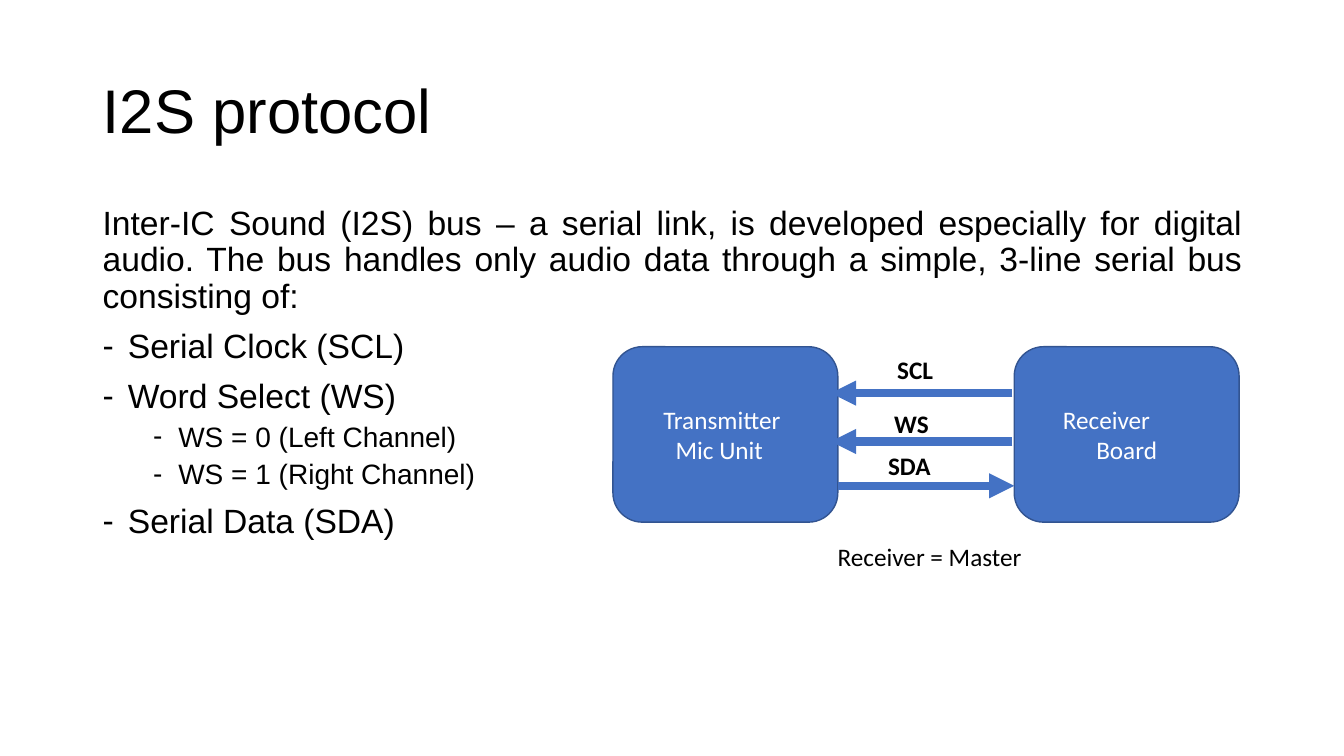
from lxml import etree
from pptx import Presentation
from pptx.dml.color import RGBColor
from pptx.enum.shapes import MSO_CONNECTOR, MSO_SHAPE
from pptx.enum.text import MSO_ANCHOR, PP_ALIGN
from pptx.oxml.ns import qn
from pptx.util import Inches, Pt

STRAIGHT = MSO_CONNECTOR.STRAIGHT
ROUNDED_RECTANGLE = MSO_SHAPE.ROUNDED_RECTANGLE
MIDDLE = MSO_ANCHOR.MIDDLE
LEFT, CENTER, JUSTIFY = PP_ALIGN.LEFT, PP_ALIGN.CENTER, PP_ALIGN.JUSTIFY

BLACK, WHITE, BLUE, DARK_BLUE = "000000", "FFFFFF", "4472C4", "325491"
TITLE_FONT, LABEL_FONT = "Arial", "Calibri"

INTRO = ("Inter-IC Sound (I2S) bus – a serial link, is developed especially for "
         "digital audio. The bus handles only audio data through a simple, "
         "3-line serial bus consisting of:")
BUS_LINES = [
    ("Serial Clock (SCL)", 0),
    ("Word Select (WS)", 0),
    ("WS = 0 (Left Channel)", 1),
    ("WS = 1 (Right Channel)", 1),
    ("Serial Data (SDA)", 0),
]
# Each device: left edge, then its lines with the right margin of each.
DEVICES = [
    (6.08, [("Transmitter", 0.07), ("Mic Unit", 0.12)]),
    (10.06, [("Receiver", 0.4), ("Board", 0)]),
]
# Each signal: label, label left and top, arrow start, arrow end, arrow height.
SIGNALS = [
    ("SCL", 8.8, 3.47, 10.04, 8.24, 3.9),
    ("WS", 8.77, 4, 10.04, 8.24, 4.38),
    ("SDA", 8.71, 4.42, 8.31, 10.06, 4.82),
]


def rgb(color):
    return RGBColor.from_string(color)


def format_runs(paragraph, size, font, color, bold=False):
    for run in paragraph.runs:
        run.font.size = Pt(size)
        run.font.name = font
        run.font.color.rgb = rgb(color)
        run.font.bold = bold


def add_title(slide, text):
    title = slide.shapes.title
    title.left, title.top = Inches(0.92), Inches(0.4)
    title.width, title.height = Inches(11.5), Inches(1.45)
    title.text_frame.text = text
    title.text_frame.vertical_anchor = MIDDLE
    paragraph = title.text_frame.paragraphs[0]
    paragraph.alignment = LEFT
    paragraph.line_spacing = 0.9
    format_runs(paragraph, 44, TITLE_FONT, BLACK)


def add_text_box(slide, left, top, width, height):
    text_box = slide.shapes.add_textbox(
        Inches(left), Inches(top), Inches(width), Inches(height))
    text_box.text_frame.word_wrap = True
    return text_box.text_frame


def set_dash_bullet(paragraph, indent):
    properties = paragraph._p.get_or_add_pPr()
    properties.set("marL", str(Inches(indent)))
    properties.set("indent", str(Inches(-0.25)))
    etree.SubElement(properties, qn("a:buFont"), typeface=TITLE_FONT)
    etree.SubElement(properties, qn("a:buChar"), char="-")


def add_body(slide):
    text_frame = add_text_box(slide, 0.92, 2, 11.5, 4.76)
    intro = text_frame.paragraphs[0]
    intro.text = INTRO
    intro.alignment = JUSTIFY
    intro.line_spacing = 0.9
    intro.space_before = Pt(10)
    format_runs(intro, 24, TITLE_FONT, BLACK)
    for text, level in BUS_LINES:
        paragraph = text_frame.add_paragraph()
        paragraph.text = text
        paragraph.level = level
        paragraph.line_spacing = 0.9
        paragraph.space_before = Pt(5 if level else 10)
        set_dash_bullet(paragraph, 0.25 + 0.5 * level)
        format_runs(paragraph, 20 if level else 24, TITLE_FONT, BLACK)


def add_device(slide, left, lines):
    device = slide.shapes.add_shape(
        ROUNDED_RECTANGLE, Inches(left), Inches(3.44), Inches(2.23), Inches(1.74))
    device.shadow.inherit = False
    device.fill.solid()
    device.fill.fore_color.rgb = rgb(BLUE)
    device.line.color.rgb = rgb(DARK_BLUE)
    device.line.width = Pt(1)
    text_frame = device.text_frame
    text_frame.vertical_anchor = MIDDLE
    for index, (text, right_margin) in enumerate(lines):
        paragraph = text_frame.add_paragraph() if index else text_frame.paragraphs[0]
        paragraph.text = text
        paragraph.alignment = CENTER
        paragraph._p.get_or_add_pPr().set("marR", str(Inches(right_margin)))
        format_runs(paragraph, 18, LABEL_FONT, WHITE)


def add_arrow(slide, start, end, height):
    arrow = slide.shapes.add_connector(
        STRAIGHT, Inches(start), Inches(height), Inches(end), Inches(height))
    arrow.line.color.rgb = rgb(BLUE)
    arrow.line.width = Pt(6)
    etree.SubElement(arrow.line._get_or_add_ln(), qn("a:tailEnd"), type="triangle")
    etree.SubElement(arrow._element.spPr, qn("a:effectLst"))


def add_label(slide, text, left, top, width, bold=False):
    text_frame = add_text_box(slide, left, top, width, 0.4)
    text_frame.text = text
    format_runs(text_frame.paragraphs[0], 18, LABEL_FONT, BLACK, bold)


def main():
    presentation = Presentation()
    presentation.slide_width = Inches(13.33)
    presentation.slide_height = Inches(7.5)
    title_only = presentation.slide_layouts[5]
    slide = presentation.slides.add_slide(title_only)

    add_title(slide, "I2S protocol")
    add_body(slide)
    for left, lines in DEVICES:
        add_device(slide, left, lines)
    for name, left, top, start, end, height in SIGNALS:
        add_arrow(slide, start, end, height)
        add_label(slide, name, left, top, 0.85, bold=True)
    add_label(slide, "Receiver = Master", 8.21, 5.32, 2.33)

    presentation.save("out.pptx")


if __name__ == "__main__":
    main()
